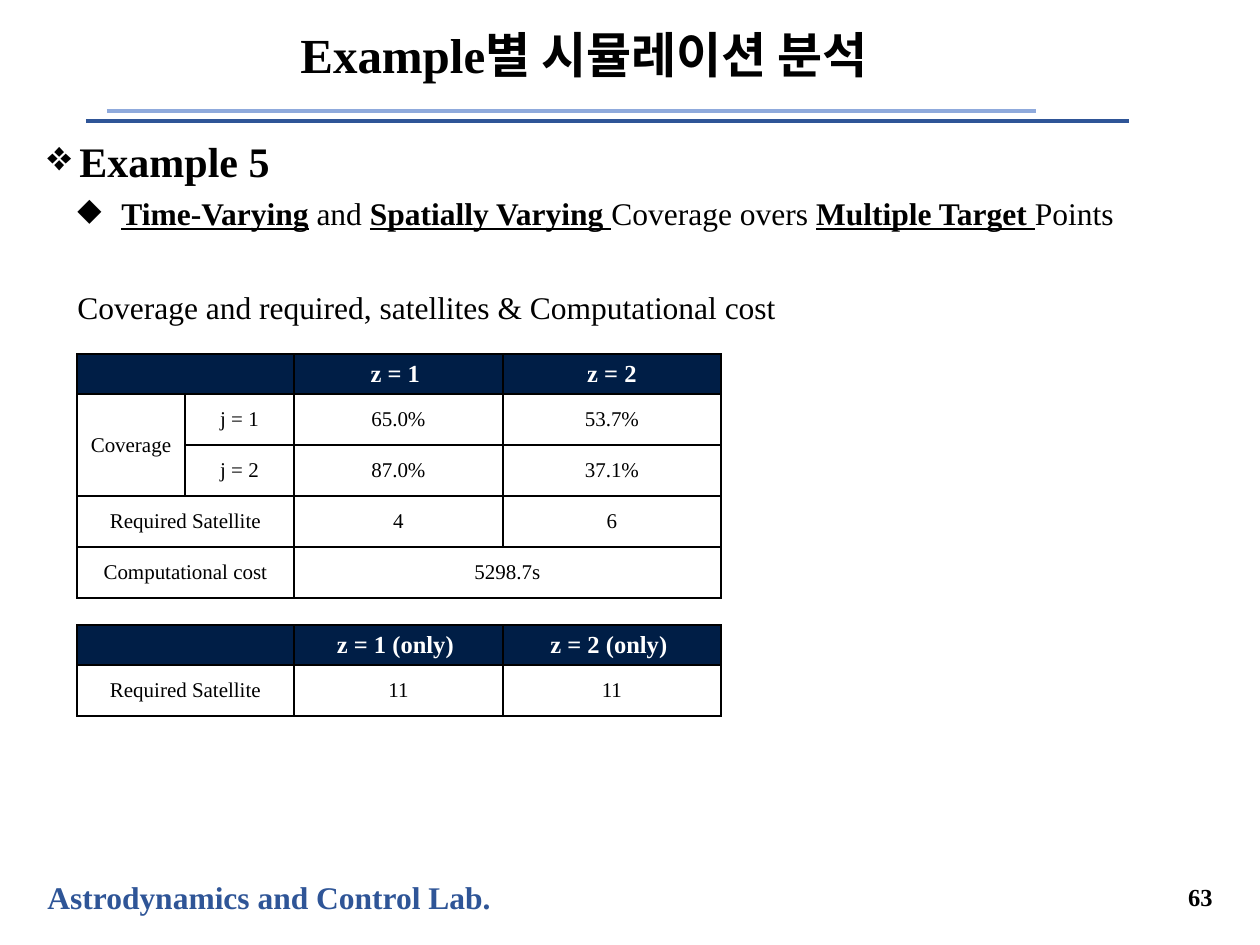
from typing import NamedTuple

from lxml.etree import SubElement
from pptx import Presentation
from pptx.dml.color import RGBColor
from pptx.enum.shapes import MSO_CONNECTOR as Connector
from pptx.enum.text import MSO_ANCHOR as Anchor, PP_ALIGN as Align
from pptx.oxml.ns import qn
from pptx.util import Pt

EMU_PER_PX = 914400 / 126
FONT = "Times New Roman"
BLACK = RGBColor(0x00, 0x00, 0x00)
WHITE = RGBColor(0xFF, 0xFF, 0xFF)
NAVY = RGBColor(0x00, 0x1E, 0x46)
BLUE = RGBColor(0x2F, 0x55, 0x97)
LIGHT_BLUE = RGBColor(0x8F, 0xAA, 0xDC)

HEADER_HEIGHT, ROW_HEIGHT = 40, 51
STRONG = {"bold": True, "underline": True}


class Rule(NamedTuple):
    left: int
    right: int
    y: int
    color: RGBColor


class Label(NamedTuple):
    text: str
    box: tuple[int, int, int, int]
    size: int
    color: RGBColor = BLACK
    align: Align = Align.LEFT
    anchor: Anchor = Anchor.TOP
    wrap: bool = True
    line_spacing: float = 1.0


class Item(NamedTuple):
    runs: list[tuple[str, dict]]
    size: int
    margin: int
    indent: int
    space_before: int
    bullet: str = ""


class Grid(NamedTuple):
    top: int
    columns: list[int]
    rows: list[list[str]]
    spans: list[tuple[int, int, int, int]]  # first row, first column, last row, last column


RULES = [Rule(86, 1129, 121, BLUE), Rule(107, 1036, 111, LIGHT_BLUE)]

LABELS = [
    Label("Astrodynamics and Control Lab.", (35, 872, 474, 50), 18, BLUE, wrap=False),
    Label("63", (1090, 872, 135, 49), 14, align=Align.RIGHT, anchor=Anchor.MIDDLE),
    Label("Example별 시뮬레이션 분석", (122, 10, 924, 95), 28, align=Align.CENTER,
          anchor=Anchor.MIDDLE, line_spacing=0.9),
]

ITEMS = [
    Item([("Example 5", {"bold": True})], 24, 32, -49, 0, "❖"),
    Item([("Time-Varying", STRONG), (" and ", {}), ("Spatially Varying ", STRONG),
          ("Coverage overs ", {}), ("Multiple Target ", STRONG), ("Points", {})],
         18, 74, -44, 5, "◆"),
    Item([("Coverage and required, satellites & Computational cost", {})], 18, 30, 0, 32),
]

GRIDS = [
    Grid(354, [108, 109, 209, 218],
         [["", "", "z = 1 ", "z = 2"],
          ["Coverage", "j = 1", "65.0%", "53.7%"],
          ["", "j = 2", "87.0%", "37.1%"],
          ["Required Satellite", "", "4", "6"],
          ["Computational cost", "", "5298.7s", ""]],
         [(0, 0, 0, 1), (1, 0, 2, 0), (3, 0, 3, 1), (4, 0, 4, 1), (4, 2, 4, 3)]),
    Grid(625, [217, 209, 218],
         [["", "z = 1 (only) ", "z = 2 (only) "],
          ["Required Satellite", "11", "11"]], []),
]


def px(length: int) -> int:
    return round(length * EMU_PER_PX)


def add_run(paragraph, text: str, size: int, color: RGBColor, **styles) -> None:
    run = paragraph.add_run()
    run.text = text
    formats = {"name": FONT, "size": Pt(size), "bold": False, "underline": False} | styles
    for name, value in formats.items():
        setattr(run.font, name, value)
    run.font.color.rgb = color


def add_rule(slide, rule: Rule) -> None:
    connector = slide.shapes.add_connector(
        Connector.STRAIGHT, px(rule.left), px(rule.y), px(rule.right), px(rule.y))
    connector.line.color.rgb = rule.color
    connector.line.width = Pt(2.25)
    SubElement(connector._element.spPr, qn("a:effectLst"))


def add_label(slide, label: Label) -> None:
    frame = slide.shapes.add_textbox(*map(px, label.box)).text_frame
    frame.word_wrap = label.wrap
    frame.vertical_anchor = label.anchor
    paragraph = frame.paragraphs[0]
    paragraph.alignment = label.align
    paragraph.line_spacing = label.line_spacing
    add_run(paragraph, label.text, label.size, label.color, bold=True)


def add_body(slide, items: list[Item]) -> None:
    frame = slide.shapes.add_textbox(px(35), px(129), px(1189), px(741)).text_frame
    frame.word_wrap = True
    for index, item in enumerate(items):
        paragraph = frame.add_paragraph() if index else frame.paragraphs[0]
        paragraph.space_before = Pt(item.space_before)
        properties = paragraph._p.get_or_add_pPr()
        properties.set("marL", str(px(item.margin)))
        properties.set("indent", str(px(item.indent)))
        if item.bullet:
            SubElement(properties, qn("a:buChar"), char=item.bullet)
        for text, styles in item.runs:
            add_run(paragraph, text, item.size, BLACK, **styles)


def add_borders(cell) -> None:
    properties = cell._tc.get_or_add_tcPr()
    for side in ("lnL", "lnR", "lnT", "lnB"):
        line = SubElement(properties, qn(f"a:{side}"), w=str(Pt(1)))
        fill = SubElement(line, qn("a:solidFill"))
        SubElement(fill, qn("a:srgbClr"), val=str(BLACK))


def add_grid(slide, grid: Grid) -> None:
    heights = [HEADER_HEIGHT] + [ROW_HEIGHT] * (len(grid.rows) - 1)
    table = slide.shapes.add_table(
        len(heights), len(grid.columns), px(77), px(grid.top),
        px(sum(grid.columns)), px(sum(heights))).table
    for column, width in zip(table.columns, grid.columns):
        column.width = px(width)
    for row, height in zip(table.rows, heights):
        row.height = px(height)
    for top, left, bottom, right in grid.spans:
        table.cell(top, left).merge(table.cell(bottom, right))

    for row_index, texts in enumerate(grid.rows):
        is_header = row_index == 0
        for column_index, text in enumerate(texts):
            cell = table.cell(row_index, column_index)
            add_borders(cell)
            cell.fill.solid()
            cell.fill.fore_color.rgb = NAVY if is_header else WHITE
            formats = {"vertical_anchor": Anchor.MIDDLE, "margin_top": 0, "margin_bottom": 0}
            for name, value in formats.items():
                setattr(cell, name, value)
            if text:
                paragraph = cell.text_frame.paragraphs[0]
                paragraph.alignment = Align.CENTER
                add_run(paragraph, text, 14 if is_header else 12,
                        WHITE if is_header else BLACK, bold=is_header)


def main() -> None:
    presentation = Presentation()
    presentation.slide_width, presentation.slide_height = px(1260), px(945)
    slide = presentation.slides.add_slide(presentation.slide_layouts[6])

    # Title, footer and the rules under the title
    for rule in RULES:
        add_rule(slide, rule)
    for label in LABELS:
        add_label(slide, label)

    # Outline text and result tables
    add_body(slide, ITEMS)
    for grid in GRIDS:
        add_grid(slide, grid)

    presentation.save("out.pptx")


if __name__ == "__main__":
    main()
